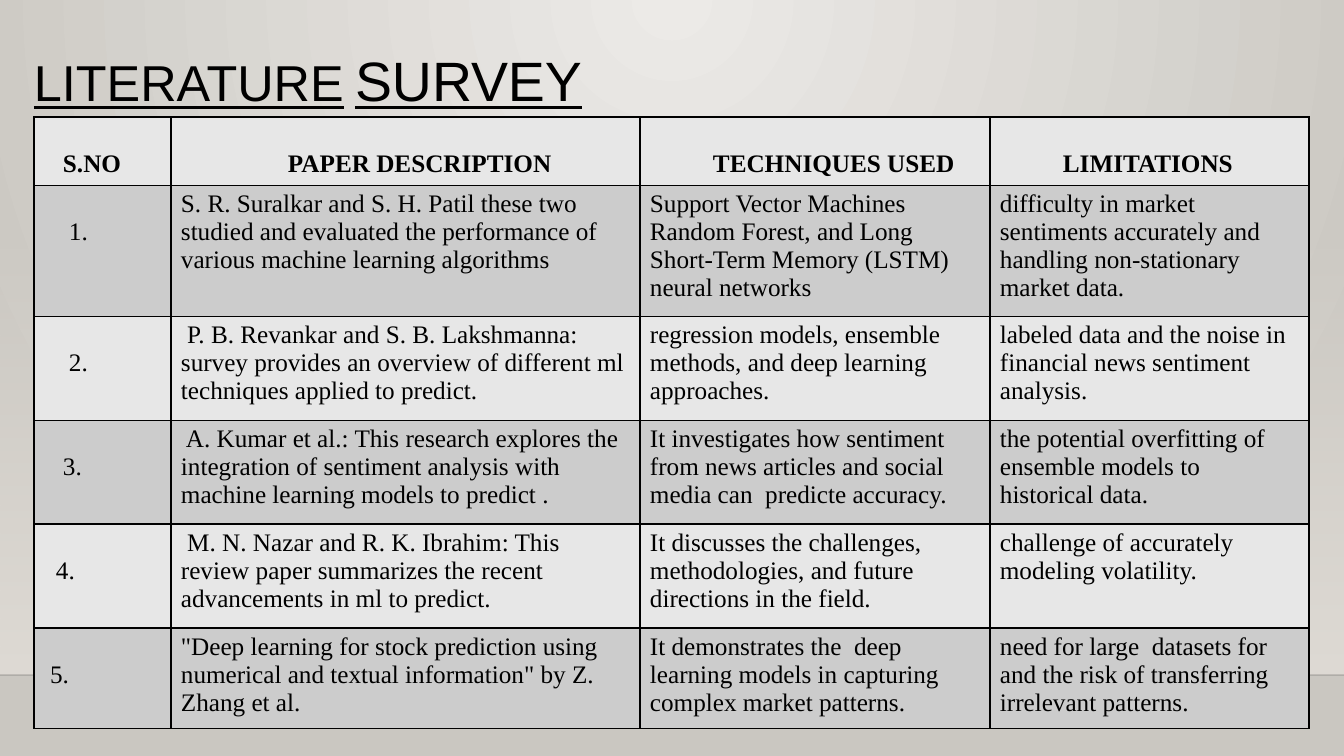
import dataclasses

import lxml.etree
import pptx
import pptx.dml.color
import pptx.enum.shapes
import pptx.enum.text
import pptx.oxml
import pptx.oxml.ns
import pptx.util

qn = pptx.oxml.ns.qn


@dataclasses.dataclass(frozen=True)
class Theme:
    ink: str = "000000"
    glow: str = "ECEAE7"
    edge: str = "CAC7C1"
    floor: str = "DFDBD5"
    light_row: str = "E7E7E7"
    dark_row: str = "CCCCCC"
    heading_font: str = "Arial"
    body_font: str = "Times New Roman"
    heading_small: float = 36
    heading_gap: float = 28.8
    heading_large: float = 39.6
    body: float = 18
    rule: float = 1


def px(length):
    return pptx.util.Emu(round(length * 914400 / 100.8))


def rgb(code):
    return pptx.dml.color.RGBColor.from_string(code)


def apply(target, **formats):
    for name, value in formats.items():
        setattr(target, name, value)


def add_alpha(color_element, percent):
    alpha = lxml.etree.SubElement(color_element, qn("a:alpha"))
    alpha.set("val", str(percent * 1000))


class SlideBuilder:
    """Draws styled elements, measured in px, on the current slide."""

    def __init__(self, slide, theme):
        self.slide = slide
        self.theme = theme

    def style_run(self, run, font, size, **formats):
        apply(run.font, name=font, size=pptx.util.Pt(size), **formats)
        run.font.color.rgb = rgb(self.theme.ink)

    def gradient(self, fill, *colors):
        fill.gradient()
        for stop, color, position in zip(fill.gradient_stops, colors, (0, 1)):
            stop.color.rgb = rgb(color)
            stop.position = position

    def background(self):
        self.gradient(self.slide.background.fill, self.theme.glow, self.theme.edge)
        radial = self.slide.element.find(".//" + qn("p:bgPr")).find(qn("a:gradFill"))
        radial.remove(radial.find(qn("a:lin")))
        circle = lxml.etree.SubElement(radial, qn("a:path"), {"path": "circle"})
        focus = {"l": "43000", "t": "0", "r": "43000", "b": "100000"}
        lxml.etree.SubElement(circle, qn("a:fillToRect"), focus)

    def fading_wall(self, left, top, width, height):
        wall = self.slide.shapes.add_shape(
            pptx.enum.shapes.MSO_SHAPE.RECTANGLE, *map(px, (left, top, width, height)))
        wall.shadow.inherit = False
        wall.line.fill.background()
        self.gradient(wall.fill, self.theme.floor, self.theme.floor)
        wall.fill.gradient_angle = 270
        add_alpha(wall.element.spPr.find(".//" + qn("a:srgbClr")), 0)

    def horizon(self, left, right, y):
        edge = self.slide.shapes.add_connector(
            pptx.enum.shapes.MSO_CONNECTOR.STRAIGHT, px(left), px(y), px(right), px(y))
        edge.line.width = pptx.util.Pt(self.theme.rule)
        edge.line.color.rgb = rgb(self.theme.ink)
        properties = edge.element.spPr
        add_alpha(properties.find(".//" + qn("a:srgbClr")), 20)
        lxml.etree.SubElement(properties, qn("a:effectLst"))

    def heading(self, left, top, width, height, words):
        frame = self.slide.shapes.add_textbox(
            *map(px, (left, top, width, height))).text_frame
        apply(frame, word_wrap=True, margin_left=px(10), margin_top=px(9))
        paragraph = frame.paragraphs[0]
        paragraph.line_spacing = 0.9
        for text, size, underline in words:
            run = paragraph.add_run()
            run.text = text
            self.style_run(run, self.theme.heading_font, size, underline=underline)

    def cell(self, cell, text, fill, bold=False, indent=10, drop=5):
        cell.fill.solid()
        cell.fill.fore_color.rgb = rgb(fill)
        apply(cell, margin_left=px(indent), margin_right=px(10),
              margin_top=px(drop), margin_bottom=px(5))
        run = cell.text_frame.paragraphs[0].add_run()
        run.text = text
        self.style_run(run, self.theme.body_font, self.theme.body, bold=bold)
        properties = cell._tc.get_or_add_tcPr()
        for position, side in enumerate(("a:lnL", "a:lnR", "a:lnT", "a:lnB")):
            border = lxml.etree.Element(
                qn(side), {"w": str(pptx.util.Pt(self.theme.rule))})
            solid = lxml.etree.SubElement(border, qn("a:solidFill"))
            lxml.etree.SubElement(solid, qn("a:srgbClr"), {"val": self.theme.ink})
            properties.insert(position, border)

    def survey_table(self, left, top, widths, heights, headings, papers, number_indents):
        table = self.slide.shapes.add_table(
            len(heights), len(widths), px(left), px(top),
            px(sum(widths)), px(sum(heights))).table
        apply(table, first_row=False, horz_banding=False)
        for column, width in zip(table.columns, widths):
            column.width = px(width)
        for row, height in zip(table.rows, heights):
            row.height = px(height)
        second_line = 33
        for column, (text, indent) in enumerate(headings):
            self.cell(table.cell(0, column), text, self.theme.light_row,
                      bold=True, indent=indent, drop=second_line)
        for number, (paper, indent) in enumerate(zip(papers, number_indents), 1):
            fill = self.theme.dark_row if number % 2 else self.theme.light_row
            self.cell(table.cell(number, 0), f"{number}.", fill,
                      indent=indent, drop=second_line)
            for column, text in enumerate(paper, 1):
                self.cell(table.cell(number, column), text, fill)


HEADINGS = [("S.NO", 29), ("PAPER DESCRIPTION", 117),
            ("TECHNIQUES USED", 73), ("LIMITATIONS", 73)]
PAPERS = [
    ("S. R. Suralkar and S. H. Patil these two studied and evaluated the "
     "performance of various machine learning algorithms",
     "Support Vector Machines Random Forest, and Long Short-Term Memory (LSTM) "
     "neural networks",
     "difficulty in market sentiments accurately and handling non-stationary "
     "market data."),
    (" P. B. Revankar and S. B. Lakshmanna: survey provides an overview of "
     "different ml techniques applied to predict.",
     "regression models, ensemble methods, and deep learning approaches.",
     "labeled data and the noise in financial news sentiment analysis."),
    (" A. Kumar et al.: This research explores the integration of sentiment "
     "analysis with machine learning models to predict .",
     "It investigates how sentiment from news articles and social media can  "
     "predicte accuracy.",
     "the potential overfitting of ensemble models to historical data."),
    (" M. N. Nazar and R. K. Ibrahim: This review paper summarizes the recent "
     "advancements in ml to predict.",
     "It discusses the challenges, methodologies, and future directions in the field.",
     "challenge of accurately modeling volatility."),
    ('"Deep learning for stock prediction using numerical and textual '
     'information" by Z. Zhang et al.',
     "It demonstrates the  deep learning models in capturing complex market patterns.",
     "need for large  datasets for and the risk of transferring irrelevant patterns."),
]


def main():
    theme = Theme()
    deck = pptx.Presentation()
    apply(deck, slide_width=px(1344), slide_height=px(756))
    builder = SlideBuilder(deck.slides.add_slide(deck.slide_layouts[6]), theme)
    builder.background()
    builder.fading_wall(0, 223, 1344, 452)
    builder.horizon(0, 1344, 675)
    builder.heading(24, 45, 1058, 116, [
        ("LITERATURE", theme.heading_small, True),
        (" ", theme.heading_gap, False),
        ("SURVEY", theme.heading_large, True)])
    builder.survey_table(
        34, 117, widths=[137, 469, 350, 319], heights=[65, 122, 104, 104, 104, 94],
        headings=HEADINGS, papers=PAPERS, number_indents=[35, 35, 29, 22, 16])
    deck.save("out.pptx")


if __name__ == "__main__":
    main()
